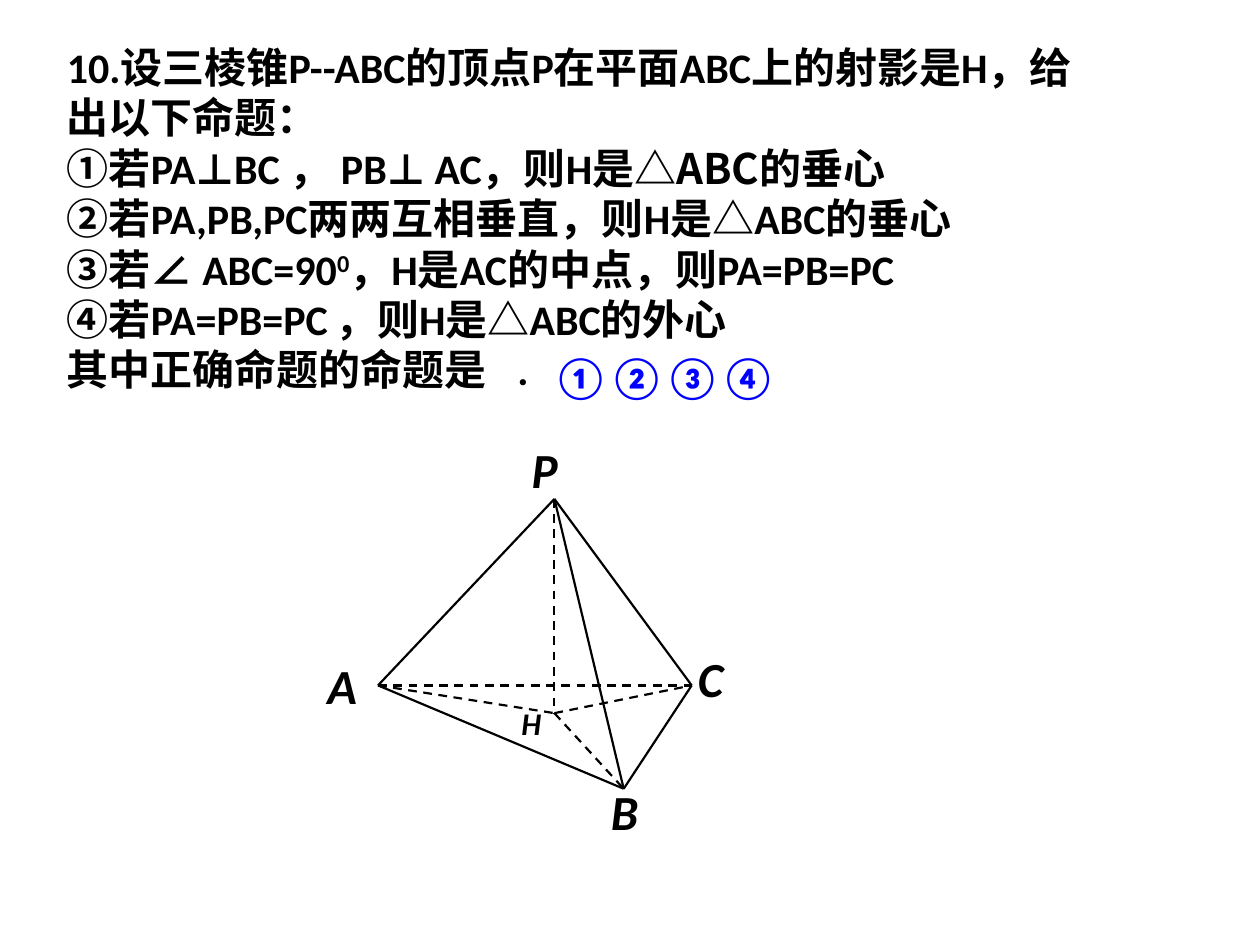
from dataclasses import dataclass

from lxml import etree
from pptx import Presentation
from pptx.dml.color import RGBColor
from pptx.enum.dml import MSO_LINE
from pptx.enum.shapes import MSO_CONNECTOR
from pptx.enum.text import MSO_ANCHOR, MSO_AUTO_SIZE
from pptx.oxml.ns import qn
from pptx.util import Inches, Pt

STRAIGHT = MSO_CONNECTOR.STRAIGHT
DASH = MSO_LINE.DASH
TOP = MSO_ANCHOR.TOP
FIT_SHAPE = MSO_AUTO_SIZE.SHAPE_TO_FIT_TEXT


@dataclass(frozen=True)
class Theme:
    ink: RGBColor = RGBColor(0x00, 0x00, 0x00)
    answer: RGBColor = RGBColor(0x00, 0x00, 0xFF)
    latin: str = "Calibri"
    chinese: str = "Noto Sans CJK SC"
    body_size: float = 24
    vertex_size: float = 28
    small_size: float = 18
    line_width: float = 1.25


THEME = Theme()

QUESTION = [
    [("10.设三棱锥P--ABC的顶点P在平面ABC上的射影是H，给出以下命题：", {})],
    [
        ("①若PA⊥BC ， PB⊥ AC，则H是", {}),
        ("△ABC", {"name": THEME.chinese}),
        ("的垂心", {}),
    ],
    [("②若PA,PB,PC两两互相垂直，则H是△ABC的垂心", {})],
    [
        ("③若∠ ABC=90", {}),
        ("0", {"superscript": True}),
        ("，H是AC的中点，则PA=PB=PC", {}),
    ],
    [
        ("④若PA=PB=PC", {}),
        (" ", {"size": THEME.small_size, "bold": False}),
        ("，则H是△ABC的外心", {}),
    ],
    [("其中正确命题的命题是", {}), ("\t", {"underline": True}), (" .", {})],
]
BLANK_END = 5.83

VERTICES = {
    "P": (1.9, 0.52),
    "A": (0.5, 2.0),
    "B": (2.45, 2.82),
    "C": (2.99, 2.0),
    "H": (1.9, 2.22),
}
HIDDEN_EDGES = ["HB", "HC", "AH", "AC", "PH"]
VISIBLE_EDGES = ["AB", "CB", "PA", "PB", "PC"]
LABELS = {
    "P": (1.62, 0, THEME.vertex_size, 0.57),
    "C": (2.94, 1.66, THEME.vertex_size, 0.57),
    "B": (2.25, 2.71, THEME.vertex_size, 0.57),
    "A": (0, 1.71, THEME.vertex_size, 0.57),
    "H": (1.54, 2.1, THEME.small_size, 0.4),
}
LABEL_WIDTH = 1.02


def format_run(run, size=THEME.body_size, color=THEME.ink, name=THEME.latin,
               bold=True, italic=False, underline=False, superscript=False):
    font = run.font
    font.size = Pt(size)
    font.bold = bold
    font.italic = italic
    font.underline = underline
    font.color.rgb = color
    font.name = name
    properties = run._r.get_or_add_rPr()
    etree.SubElement(properties, qn("a:ea"), typeface=THEME.chinese)
    if superscript:
        properties.set("baseline", "30000")


def prepare_paragraph(paragraph):
    paragraph.space_before = Pt(0)
    properties = paragraph._p.get_or_add_pPr()
    properties.set("marL", "0")
    properties.set("indent", "0")
    etree.SubElement(properties, qn("a:buNone"))
    tabs = etree.SubElement(properties, qn("a:tabLst"))
    etree.SubElement(tabs, qn("a:tab"), pos=str(Inches(BLANK_END)), algn="l")


def add_label(shapes, text, left, top, width, height, **style):
    box = shapes.add_textbox(Inches(left), Inches(top), Inches(width), Inches(height))
    text_frame = box.text_frame
    text_frame.word_wrap = True
    text_frame.auto_size = FIT_SHAPE
    text_frame.text = text
    format_run(text_frame.paragraphs[0].runs[0], **style)


def place_question(slide, left, top, width, height):
    body = slide.placeholders[1]
    body.left, body.top = Inches(left), Inches(top)
    body.width, body.height = Inches(width), Inches(height)
    text_frame = body.text_frame
    text_frame.word_wrap = True
    text_frame.auto_size = FIT_SHAPE
    text_frame.vertical_anchor = TOP
    for index, parts in enumerate(QUESTION):
        paragraph = text_frame.add_paragraph() if index else text_frame.paragraphs[0]
        prepare_paragraph(paragraph)
        for text, style in parts:
            run = paragraph.add_run()
            run.text = text
            format_run(run, **style)


def place_answer(slide, left, top, width, height):
    add_label(slide.shapes, "①②③④", left, top, width, height, color=THEME.answer)


def add_edge(shapes, start, end, hidden):
    edge = shapes.add_connector(STRAIGHT, *map(Inches, start + end))
    edge.line.color.rgb = THEME.ink
    edge.line.width = Pt(THEME.line_width)
    if hidden:
        edge.line.dash_style = DASH
    etree.SubElement(edge._element.spPr, qn("a:effectLst"))


def place_pyramid(slide, left, top):
    shapes = slide.shapes.add_group_shape().shapes
    points = {name: (left + x, top + y) for name, (x, y) in VERTICES.items()}
    for start, end in HIDDEN_EDGES + VISIBLE_EDGES:
        add_edge(shapes, points[start], points[end], start + end in HIDDEN_EDGES)
    for name, (x, y, size, height) in LABELS.items():
        add_label(shapes, name, left + x, top + y, LABEL_WIDTH, height,
                  size=size, italic=True)


def main():
    presentation = Presentation()
    presentation.slide_width, presentation.slide_height = Inches(10), Inches(7.5)
    slide = presentation.slides.add_slide(presentation.slide_layouts[1])
    title = slide.shapes.title._element
    title.getparent().remove(title)
    place_question(slide, 0.43, 0.28, 8.27, 2.93)
    place_answer(slide, 4.29, 2.73, 2.05, 0.5)
    place_pyramid(slide, 2.5, 3.44)
    presentation.save("out.pptx")


if __name__ == "__main__":
    main()
